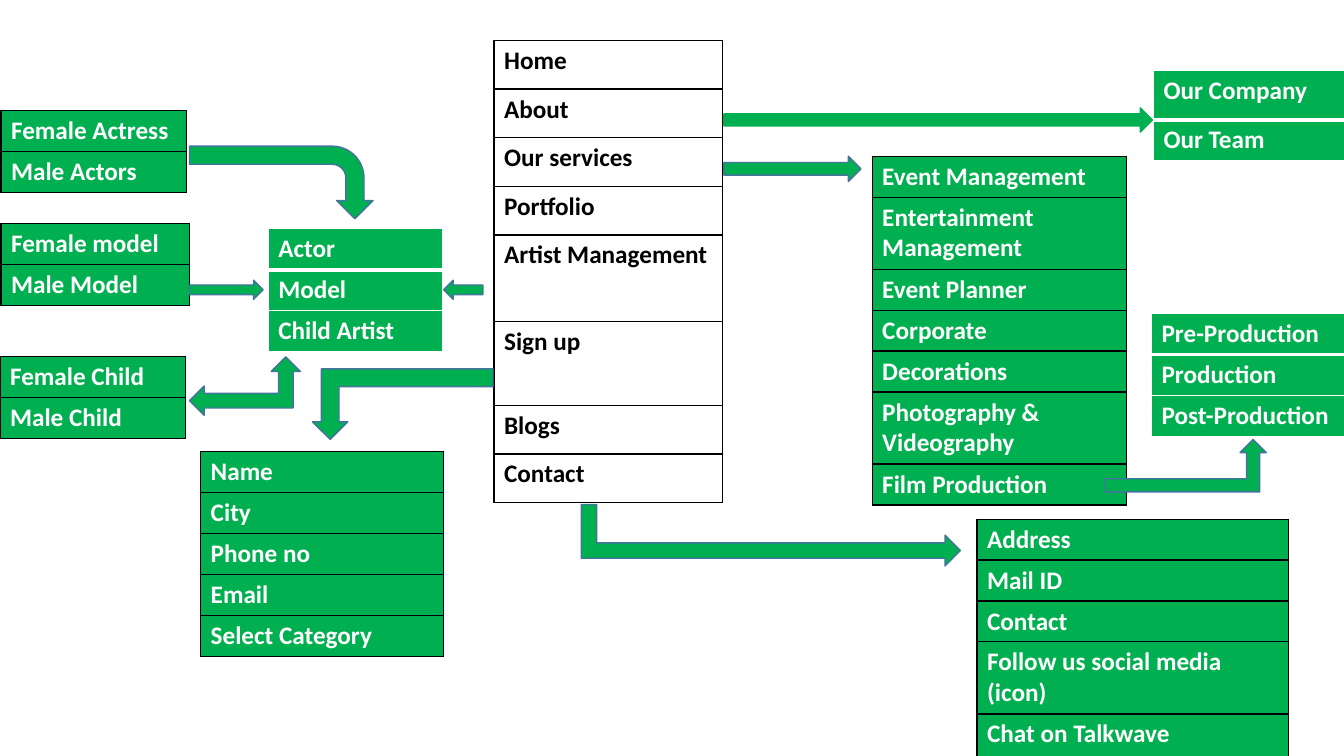
from dataclasses import dataclass

from lxml import etree
from pptx import Presentation
from pptx.dml.color import RGBColor
from pptx.enum.shapes import MSO_SHAPE
from pptx.oxml.ns import qn
from pptx.util import Inches, Pt

RIGHT, LEFT = MSO_SHAPE.RIGHT_ARROW, MSO_SHAPE.LEFT_ARROW
BENT, BENT_UP, LEFT_UP = MSO_SHAPE.BENT_ARROW, MSO_SHAPE.BENT_UP_ARROW, MSO_SHAPE.LEFT_UP_ARROW


@dataclass(frozen=True)
class Theme:
    font: str = "Calibri"
    size: int = 18
    green: str = "00B050"
    white: str = "FFFFFF"
    black: str = "000000"
    outline: str = "43739E"
    thin: int = 1
    thick: int = 3


THEME = Theme()
# look: fill, text, border, width of the rule under the first row
LOOKS = {
    "menu": (THEME.white, THEME.black, THEME.black, THEME.thin),
    "list": (THEME.green, THEME.white, THEME.black, THEME.thin),
    "open": (THEME.green, THEME.white, THEME.white, THEME.thick),
}

# All lengths are counted in cells of a square grid, ten cells to the inch.
CELL = Inches(0.1)
ROW, DOUBLE_ROW, MENU_ROW = 4.06, 7.15, 4.83

# look, (left, top, width), labels, heights of the rows that differ from the usual
TABLES = [
    ("menu", (49, 4, 22.7),
     ["Home", "About", "Our services", "Portfolio", "Artist Management", "Sign up", "Blogs", "Contact"],
     {"Artist Management": 8.6, "Sign up": 8.3}),
    ("open", (114.4, 7, 19), ["Our Company", "Our Team"], {"Our Company": 4.9}),
    ("list", (86.5, 15.5, 25.2),
     ["Event Management", "Entertainment Management", "Event Planner", "Corporate",
      "Decorations", "Photography & Videography", "Film Production"],
     {"Entertainment Management": DOUBLE_ROW, "Photography & Videography": DOUBLE_ROW}),
    ("open", (114.2, 31.1, 19.2), ["Pre-Production", "Production", "Post-Production"], {}),
    ("open", (26.6, 22.7, 17.3), ["Actor", "Model", "Child Artist"], {}),
    ("list", (0.1, 11, 18.4), ["Female Actress", "Male Actors"], {}),
    ("list", (0.1, 22.2, 18.7), ["Female model", "Male Model"], {}),
    ("list", (0, 35.4, 18.4), ["Female Child", "Male Child"], {}),
    ("list", (19.9, 44.8, 24.1), ["Name", "City", "Phone no", "Email", "Select Category"], {}),
    ("list", (96.9, 51.5, 30.9),
     ["Address", "Mail ID", "Contact", "Follow us social media (icon)", "Chat on Talkwave"],
     {"Follow us social media (icon)": DOUBLE_ROW, "Chat on Talkwave": 4.7}),
]

# preset, (left, top, width, height) before turning, turn in degrees, line colour
ARROWS = [
    (BENT_UP, (109.6, 43.6, 16, 5.2), 0, THEME.outline),
    (RIGHT, (71.8, 10.7, 42.5, 2.4), 0, THEME.green),
    (LEFT, (44, 27.8, 3.9, 1.9), 0, THEME.outline),
    (LEFT_UP, (18.8, 35.4, 11, 5.8), 0, THEME.outline),
    (BENT, (24.3, 9, 7.2, 18.2), 90, THEME.outline),
    (RIGHT, (18.8, 27.8, 7.3, 1.9), 0, THEME.outline),
    (RIGHT, (71.8, 15.5, 13.6, 2.5), 0, THEME.outline),
    (BENT_UP, (73.4, 34.3, 6.1, 37.6), 90, THEME.outline),
    (BENT_UP, (31, 36.6, 17.9, 7), 180, THEME.outline),
]


def grid(*counts):
    return [round(count * CELL) for count in counts]


def color(code):
    return RGBColor.from_string(code)


def set_borders(cell, code, widths):
    """Draw the left, right, top and bottom edges with the given widths in points."""
    properties = cell._tc.get_or_add_tcPr()
    for edge, width in zip(("a:lnL", "a:lnR", "a:lnT", "a:lnB"), widths):
        line = etree.SubElement(properties, qn(edge), w=str(Pt(width)))
        fill = etree.SubElement(line, qn("a:solidFill"))
        etree.SubElement(fill, qn("a:srgbClr"), val=code)


def write_label(cell, label, code):
    span = cell.text_frame.paragraphs[0].add_run()
    span.text = label
    span.font.color.rgb = color(code)
    for name, value in {"name": THEME.font, "size": Pt(THEME.size), "bold": True}.items():
        setattr(span.font, name, value)


def add_list(page, look, place, labels, special_heights):
    fill, text, border, first_rule = LOOKS[look]
    usual = MENU_ROW if look == "menu" else ROW
    heights = [special_heights.get(label, usual) for label in labels]
    frame = page.shapes.add_table(len(labels), 1, *grid(*place, sum(heights)))
    table = frame.table
    table.first_row = table.horz_banding = False
    for index, (label, height) in enumerate(zip(labels, heights)):
        table.rows[index].height = round(height * CELL)
        cell = table.cell(index, 0)
        above = first_rule if index == 1 else THEME.thin
        below = first_rule if index == 0 else THEME.thin
        set_borders(cell, border, (THEME.thin, THEME.thin, above, below))
        cell.fill.solid()
        cell.fill.fore_color.rgb = color(fill)
        write_label(cell, label, text)


def add_arrow(page, preset, place, turn, line):
    arrow = page.shapes.add_shape(preset, *grid(*place))
    arrow.shadow.inherit = False
    arrow.rotation = turn
    arrow.fill.solid()
    arrow.fill.fore_color.rgb = color(THEME.green)
    arrow.line.color.rgb = color(line)
    arrow.line.width = Pt(THEME.thin)


def main():
    deck = Presentation()
    deck.slide_width, deck.slide_height = Inches(13.33), Inches(7.5)
    page = deck.slides.add_slide(deck.slide_layouts[6])
    for entry in TABLES:
        add_list(page, *entry)
    for entry in ARROWS:
        add_arrow(page, *entry)
    deck.save("out.pptx")


if __name__ == "__main__":
    main()
